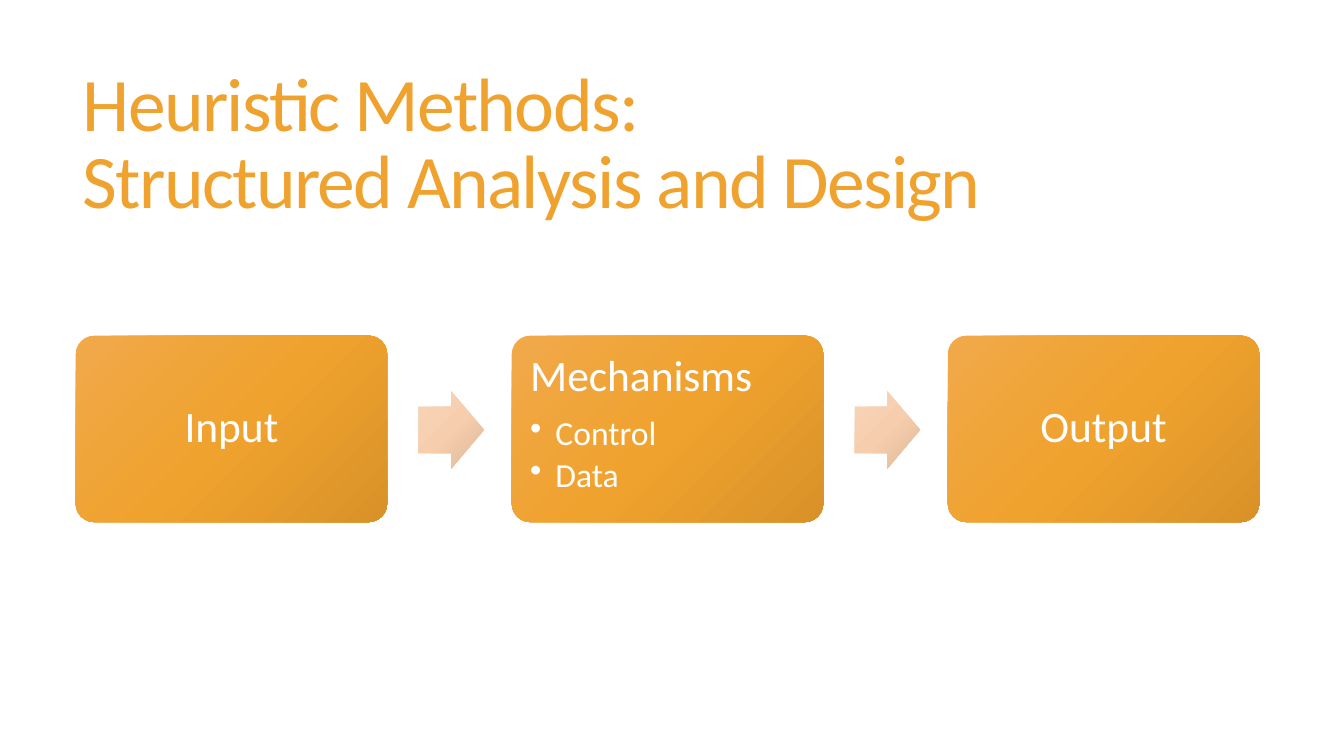
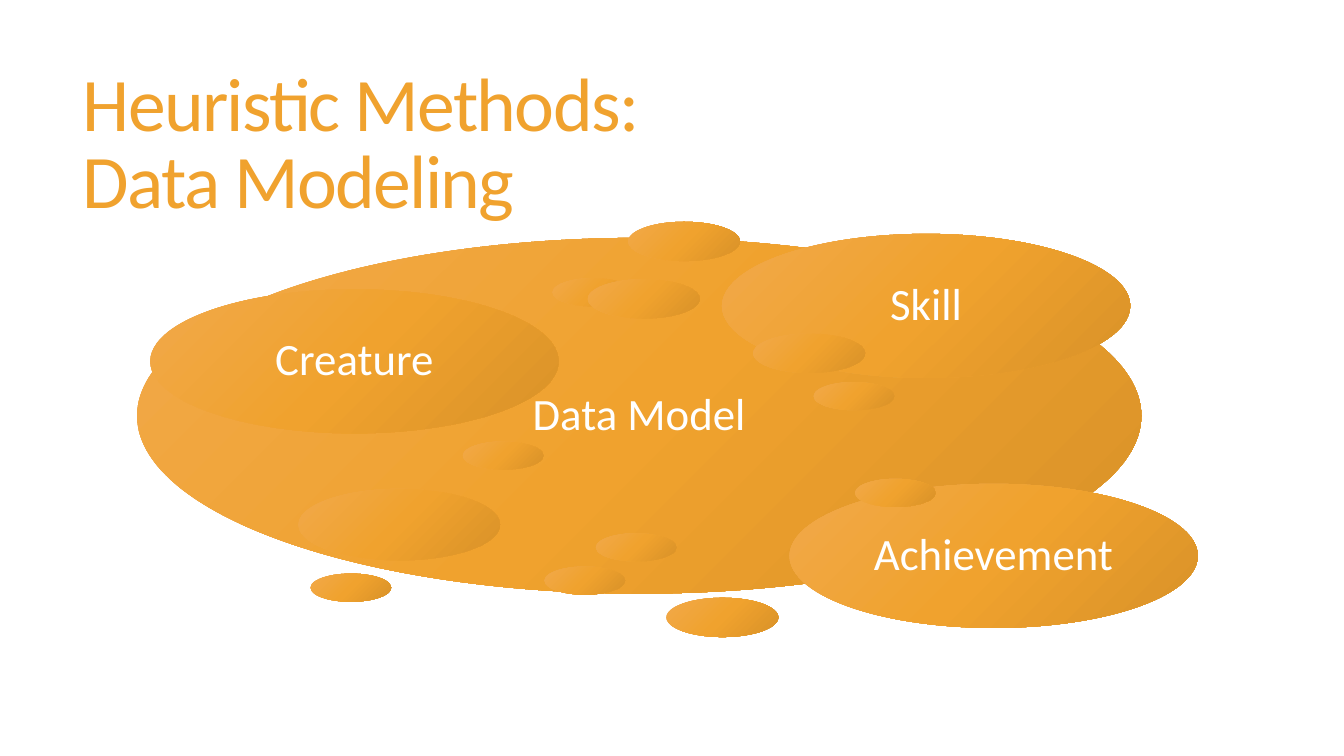
from dataclasses import dataclass

from lxml import etree
from pptx import Presentation
from pptx.dml.color import RGBColor
from pptx.enum.shapes import MSO_SHAPE
from pptx.enum.text import MSO_ANCHOR, MSO_AUTO_SIZE, PP_ALIGN
from pptx.oxml.ns import qn
from pptx.presentation import Presentation as Deck
from pptx.shapes.autoshape import Shape
from pptx.slide import Slide
from pptx.util import Inches, Pt

ROUND_RECT = MSO_SHAPE.ROUNDED_RECTANGLE
RIGHT_ARROW = MSO_SHAPE.RIGHT_ARROW
OVAL = MSO_SHAPE.OVAL
LEFT, CENTER = PP_ALIGN.LEFT, PP_ALIGN.CENTER
TOP, MIDDLE = MSO_ANCHOR.TOP, MSO_ANCHOR.MIDDLE
NO_AUTOFIT = MSO_AUTO_SIZE.NONE

FONT = "Calibri"
WHITE = RGBColor(0xFF, 0xFF, 0xFF)
ORANGE = RGBColor(0xF0, 0xA2, 0x2E)
ORANGE_SHADES = (RGBColor(0xF1, 0xA9, 0x4A), ORANGE, RGBColor(0xD9, 0x92, 0x28))
PEACH_SHADES = (
    RGBColor(0xF7, 0xD4, 0xB8),
    RGBColor(0xF6, 0xCE, 0xAD),
    RGBColor(0xDE, 0xB9, 0x9A),
)
STOPS = (0, 50000, 100000)

BOX_SIZE = (3.09, 1.85)
BOX_TOP = 3.33
FIRST_BOX, LAST_BOX = 0.75, 9.4
ARROW_SIZE = (0.65, 0.77)
ARROW_OFFSET = 3.4
ARROW_TOP = 3.88

MODEL = (9.96, 3.53)
ENTITY = (4.05, 1.43)
LARGE = (2.0, 0.71)
MEDIUM = (1.11, 0.39)
SMALL = (0.8, 0.28)


@dataclass(frozen=True)
class Step:
    label: str
    bullets: tuple[str, ...] = ()


@dataclass(frozen=True)
class Bubble:
    left: float
    top: float
    size: tuple[float, float]
    label: str = ""


STEPS = (Step("Input"), Step("Mechanisms", ("Control", "Data")), Step("Output"))

BUBBLES = (
    Bubble(1.36, 2.36, MODEL, "Data Model"),
    Bubble(6.23, 2.2, MEDIUM),
    Bubble(5.4, 5.62, SMALL),
    Bubble(8.07, 3.79, SMALL),
    Bubble(6.61, 5.93, MEDIUM),
    Bubble(5.48, 2.76, SMALL),
    Bubble(4.59, 4.38, SMALL),
    Bubble(1.49, 2.87, ENTITY, "Creature"),
    Bubble(5.83, 2.77, MEDIUM),
    Bubble(2.96, 4.85, LARGE),
    Bubble(7.16, 2.32, ENTITY, "Skill"),
    Bubble(7.47, 3.31, MEDIUM),
    Bubble(3.08, 5.69, SMALL),
    Bubble(5.91, 5.29, SMALL),
    Bubble(7.83, 4.8, ENTITY, "Achievement"),
    Bubble(8.48, 4.75, SMALL),
)


def add_titled_slide(prs: Deck, *lines: str) -> Slide:
    s = prs.slides.add_slide(prs.slide_layouts[5])
    title = s.shapes.title
    title.left, title.top = Inches(0.72), Inches(0.55)
    title.width, title.height = Inches(11.78), Inches(1.81)
    tf = title.text_frame
    tf.auto_size = NO_AUTOFIT
    tf.vertical_anchor = MIDDLE
    p = tf.paragraphs[0]
    p.alignment = LEFT
    p.line_spacing = 0.85
    p.font.name, p.font.size = FONT, Pt(54)
    p.font.color.rgb = ORANGE
    for i, line in enumerate(lines):
        if i:
            p.add_line_break()
        r = p.add_run()
        r.text = line
        r.font._element.set("spc", "-120")
    return s


def add_gradient_shape(
    s: Slide,
    kind: MSO_SHAPE,
    left: float,
    top: float,
    size: tuple[float, float],
    shades: tuple[RGBColor, ...] = ORANGE_SHADES,
) -> Shape:
    width, height = size
    sp = s.shapes.add_shape(
        kind, Inches(left), Inches(top), Inches(width), Inches(height)
    )
    sp.shadow.inherit = False
    sp.line.fill.background()
    sp.fill.gradient()
    sp.fill.gradient_angle = 315
    stops = sp._element.spPr.find(qn("a:gradFill")).find(qn("a:gsLst"))
    for stop in list(stops):
        stops.remove(stop)
    for position, color in zip(STOPS, shades):
        stop = etree.SubElement(stops, qn("a:gs"), pos=str(position))
        etree.SubElement(stop, qn("a:srgbClr"), val=str(color))
    return sp


def write_label(
    sp: Shape, label: str, size: int, bullets: tuple[str, ...] = ()
) -> None:
    tf = sp.text_frame
    tf.word_wrap = True
    tf.margin_left = tf.margin_right = Inches(0.13)
    tf.margin_top = tf.margin_bottom = Inches(0.13)
    tf.vertical_anchor = TOP if bullets else MIDDLE
    for i, text in enumerate((label, *bullets)):
        p = tf.add_paragraph() if i else tf.paragraphs[0]
        p.text = text
        p.alignment = LEFT if bullets else CENTER
        p.line_spacing = 0.9
        p.font.name, p.font.size = FONT, Pt(24 if i else size)
        p.font.color.rgb = WHITE
        if bullets:
            p.space_after = Pt(4 if i else 11)
        if i:
            add_bullet(p._p.get_or_add_pPr())


def add_bullet(p_pr: etree._Element) -> None:
    indent = Inches(0.25)
    p_pr.set("lvl", "1")
    p_pr.set("marL", str(indent))
    p_pr.set("indent", str(-indent))
    bullet = etree.Element(qn("a:buChar"), char="•")
    p_pr.find(qn("a:defRPr")).addprevious(bullet)


def build_process_slide(prs: Deck) -> None:
    s = add_titled_slide(prs, "Heuristic Methods:", "Structured Analysis and Design")
    pitch = (LAST_BOX - FIRST_BOX) / (len(STEPS) - 1)
    for i, step in enumerate(STEPS):
        left = FIRST_BOX + i * pitch
        box = add_gradient_shape(s, ROUND_RECT, left, BOX_TOP, BOX_SIZE)
        box.adjustments[0] = 0.1
        write_label(box, step.label, 31, step.bullets)
        if i < len(STEPS) - 1:
            arrow = add_gradient_shape(
                s, RIGHT_ARROW, left + ARROW_OFFSET, ARROW_TOP, ARROW_SIZE, PEACH_SHADES
            )
            arrow.adjustments[0] = 0.6
            arrow.adjustments[1] = 0.5


def build_model_slide(prs: Deck) -> None:
    s = add_titled_slide(prs, "Heuristic Methods:", "Data Modeling")
    for bubble in BUBBLES:
        sp = add_gradient_shape(s, OVAL, bubble.left, bubble.top, bubble.size)
        if bubble.label:
            write_label(sp, bubble.label, 32)


def main() -> None:
    prs = Presentation()
    prs.slide_width, prs.slide_height = Inches(13.33), Inches(7.5)
    build_process_slide(prs)
    build_model_slide(prs)
    prs.save("out.pptx")


if __name__ == "__main__":
    main()
